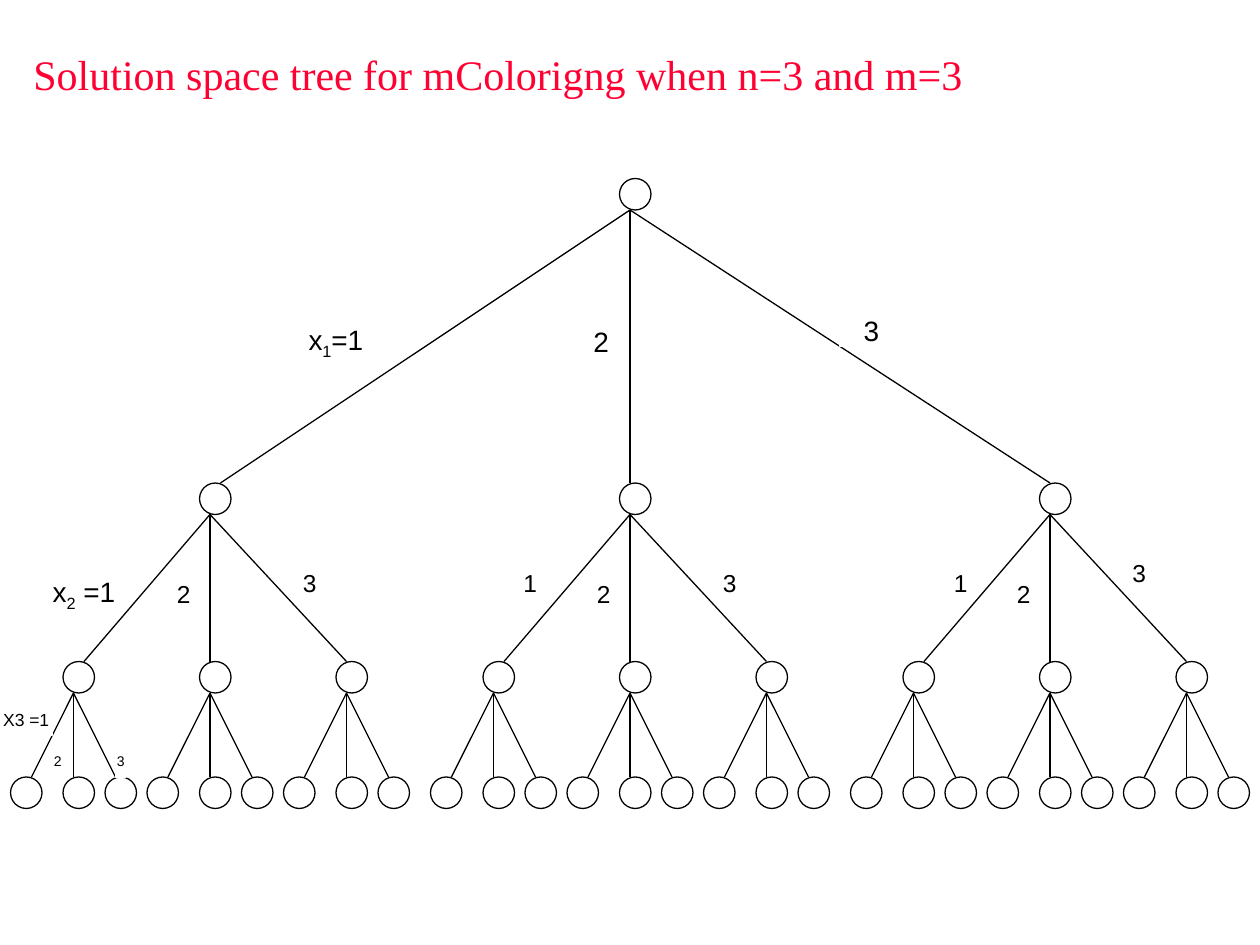
import dataclasses
import typing

import pptx
import pptx.dml.color
import pptx.enum.shapes
import pptx.enum.text
import pptx.oxml.xmlchemy
import pptx.util
import lxml.etree
import pptx.oxml.ns

SCALE = 9525


@dataclasses.dataclass(frozen=True)
class Theme:
    ink: str = "000000"
    paper: str = "FFFFFF"
    title: str = "FF0033"
    serif: str = "Times New Roman"
    sans: str = "Arial"
    head: int = 24
    large: int = 16
    mid: int = 14
    small: int = 10
    tiny: int = 8
    line: float = 0.75


@dataclasses.dataclass(frozen=True)
class Level:
    top: int
    steps: typing.Tuple[int, ...]


@dataclasses.dataclass(frozen=True)
class Label:
    left: int
    top: int
    width: int
    size: int
    text: str
    sub: str = ""
    rest: str = ""
    shift: int = 0


THEME = Theme()
NODE = 24
PORT = 8
PAD = 10
LEVELS = (
    Level(136, (-320, 0, 320)),
    Level(368, (-104, 0, 104)),
    Level(504, (-40, 0, 32)),
    Level(592, ()),
)
LABELS = (
    Label(232, 248, 48, THEME.large, "x", "1", "=1"),
    Label(416, 248, 48, THEME.large, "2", shift=18),
    Label(640, 240, 48, THEME.large, "3"),
    Label(32, 440, 64, THEME.large, "x", "2", " =1"),
    Label(0, 536, 40, THEME.small, "X3 =1"),
    Label(128, 440, 24, THEME.mid, "2"),
    Label(224, 432, 24, THEME.mid, "3"),
    Label(448, 440, 24, THEME.mid, "2"),
    Label(544, 432, 24, THEME.mid, "3"),
    Label(392, 432, 24, THEME.mid, "1"),
    Label(720, 432, 24, THEME.mid, "1"),
    Label(768, 440, 24, THEME.mid, "2"),
    Label(856, 424, 24, THEME.mid, "3"),
    Label(40, 568, 8, THEME.tiny, "2"),
    Label(88, 568, 8, THEME.tiny, "3"),
)


def px(size: int) -> pptx.util.Emu:
    return pptx.util.Emu(size * SCALE)


def color(code: str) -> pptx.dml.color.RGBColor:
    return pptx.dml.color.RGBColor.from_string(code)


def style(font, name: str, size: int, code: str) -> None:
    font.name = name
    font.size = pptx.util.Pt(size)
    font.color.rgb = color(code)


def stroke(line, code: str) -> None:
    line.color.rgb = color(code)
    line.width = pptx.util.Pt(THEME.line)


def add_box(slide, kind, left: int, top: int, width: int, edge: str):
    box = slide.shapes.add_shape(kind, px(left), px(top), px(width), px(NODE))
    box.shadow.inherit = False
    box.fill.solid()
    box.fill.fore_color.rgb = color(THEME.paper)
    stroke(box.line, edge)
    return box


def add_edge(slide, start: typing.Tuple[int, int], end: typing.Tuple[int, int]) -> None:
    edge = slide.shapes.add_connector(
        pptx.enum.shapes.MSO_CONNECTOR.STRAIGHT, *map(px, start + end)
    )
    stroke(edge.line, THEME.ink)
    props = edge._element.spPr
    lxml.etree.SubElement(props, pptx.oxml.ns.qn("a:effectLst"))


def add_tree(slide, left: int, depth: int = 0) -> None:
    level = LEVELS[depth]
    for step in level.steps:
        add_tree(slide, left + step, depth + 1)
    add_box(slide, pptx.enum.shapes.MSO_SHAPE.OVAL, left, level.top, NODE, THEME.ink)
    for step in level.steps:
        port = 2 * PORT if step < 0 else PORT
        add_edge(
            slide,
            (left + PORT, level.top + NODE),
            (left + step + port, LEVELS[depth + 1].top),
        )


def add_label(slide, label: Label) -> None:
    box = add_box(
        slide, pptx.enum.shapes.MSO_SHAPE.RECTANGLE,
        label.left, label.top, label.width, THEME.paper,
    )
    frame = box.text_frame
    frame.word_wrap = False
    frame.vertical_anchor = pptx.enum.text.MSO_ANCHOR.MIDDLE
    frame.margin_left = px(2 * label.shift or PAD)
    frame.margin_right = px(0 if label.shift else PAD)
    frame.text = label.text
    para = frame.paragraphs[0]
    para.alignment = pptx.enum.text.PP_ALIGN.CENTER
    if label.sub:
        sub = para.add_run()
        sub.text = label.sub
        sub.font._element.set("baseline", "-25000")
        para.add_run().text = label.rest
    for run in para.runs:
        style(run.font, THEME.sans, label.size, THEME.ink)


def add_title(slide, text: str) -> None:
    box = slide.shapes.add_textbox(px(16), px(32), px(896), px(612))
    frame = box.text_frame
    frame.word_wrap = True
    frame.text = text
    para = frame.paragraphs[0]
    para.space_before = pptx.util.Pt(6)
    style(para.runs[0].font, THEME.serif, THEME.head, THEME.title)


def main() -> None:
    deck = pptx.Presentation()
    deck.slide_width, deck.slide_height = px(960), px(720)
    slide = deck.slides.add_slide(deck.slide_layouts[6])
    add_title(slide, "Solution space tree for mColorigng when n=3 and m=3")
    add_tree(slide, 472)
    for label in LABELS:
        add_label(slide, label)
    deck.save("out.pptx")


if __name__ == "__main__":
    main()
